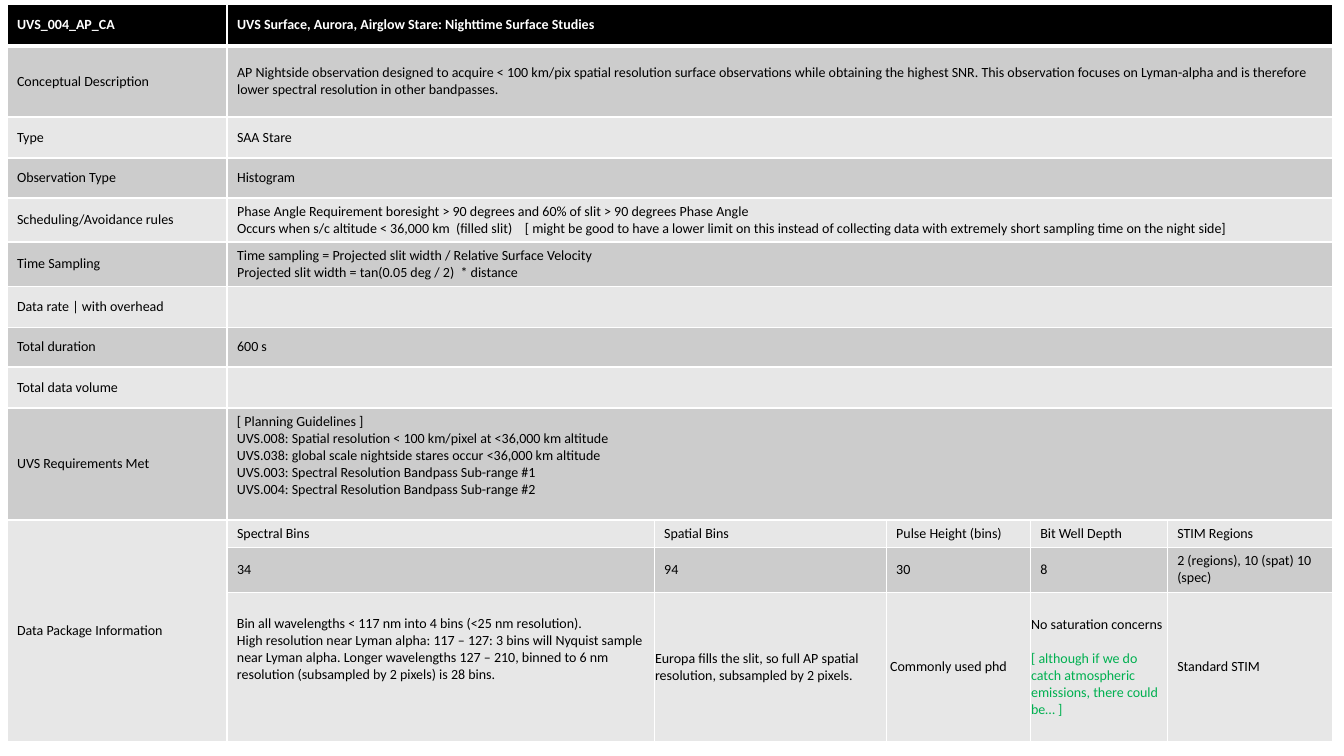
from lxml import etree
from pptx import Presentation, util as u
from pptx.dml import color
from pptx.enum import text
from pptx.oxml import ns

EMU_PER_PIXEL = 914400 / 100.8
BLACK, WHITE, GREEN = "000000", "FFFFFF", "00B050"
BANDS = ["CCCCCC", "E7E7E7"]


def px(length):
    """Turn picture pixels into EMU."""
    return u.Emu(round(length * EMU_PER_PIXEL))


def rgb(hex_code):
    """Turn a hex string into a colour."""
    return color.RGBColor.from_string(hex_code)


class ObservationSheet:
    """Style and current slide of an observation sheet."""

    font, size = "Calibri", 10

    def __init__(self, slide):
        """Keep the slide to draw on."""
        self.slide = slide

    def grid(self, left, top, widths, heights):
        """Add an empty table with the given column widths and row heights."""
        frame = self.slide.shapes.add_table(
            len(heights), len(widths), px(left), px(top), px(sum(widths)), px(sum(heights)))
        for column, width in zip(frame.table.columns, widths):
            column.width = px(width)
        for row, height in zip(frame.table.rows, heights):
            row.height = px(height)
        return frame.table

    def borders(self, cell, bottom):
        """Draw white cell borders, with the given bottom weight in points."""
        properties = cell._tc.get_or_add_tcPr()
        for side, weight in {"L": 1, "R": 1, "T": 1, "B": bottom}.items():
            line = etree.SubElement(properties, ns.qn(f"a:ln{side}"), w=str(u.Pt(weight)))
            fill = etree.SubElement(line, ns.qn("a:solidFill"))
            etree.SubElement(fill, ns.qn("a:srgbClr"), val=WHITE)

    def surface(self, cell, fill, bottom=1):
        """Set borders, fill, anchor and the text size of an empty cell."""
        self.borders(cell, bottom)
        cell.fill.solid()
        cell.fill.fore_color.rgb = rgb(fill)
        cell.vertical_anchor = text.MSO_ANCHOR.MIDDLE
        for paragraph in cell.text_frame.paragraphs:
            paragraph._p.get_or_add_endParaRPr().set("sz", str(self.size * 100))

    def fill_in(self, cell, lines, ink=BLACK, bold=False):
        """Put one paragraph per line into a cell."""
        for index, line in enumerate(lines):
            frame = cell.text_frame
            paragraph = frame.add_paragraph() if index else frame.paragraphs[0]
            run = paragraph.add_run()
            run.text = line
            run.font.name, run.font.size = self.font, u.Pt(self.size)
            run.font.bold, run.font.color.rgb = bold, rgb(ink)

    def margins(self, cell, left, top, right, bottom):
        """Set the four inner margins of a cell."""
        cell.margin_left, cell.margin_top = px(left), px(top)
        cell.margin_right, cell.margin_bottom = px(right), px(bottom)


HEADER = ("UVS_004_AP_CA", ["UVS Surface, Aurora, Airglow Stare: Nighttime Surface Studies"])
FIELDS = [
    ("Conceptual Description", [
        "AP Nightside observation designed to acquire < 100 km/pix spatial resolution surface "
        "observations while obtaining the highest SNR. This observation focuses on Lyman-alpha "
        "and is therefore lower spectral resolution in other bandpasses."]),
    ("Type", ["SAA Stare"]),
    ("Observation Type", ["Histogram"]),
    ("Scheduling/Avoidance rules", [
        "Phase Angle Requirement boresight > 90 degrees and 60% of slit > 90 degrees Phase Angle",
        "Occurs when s/c altitude < 36,000 km  (filled slit)    [ might be good to have a lower "
        "limit on this instead of collecting data with extremely short sampling time on the "
        "night side]"]),
    ("Time Sampling", [
        "Time sampling = Projected slit width / Relative Surface Velocity",
        "Projected slit width = tan(0.05 deg / 2)  * distance"]),
    ("Data rate | with overhead", []),
    ("Total duration", ["600 s"]),
    ("Total data volume", []),
    ("UVS Requirements Met", [
        "[ Planning Guidelines ]",
        "UVS.008: Spatial resolution < 100 km/pixel at <36,000 km altitude",
        "UVS.038: global scale nightside stares occur <36,000 km altitude",
        "UVS.003: Spectral Resolution Bandpass Sub-range #1",
        "UVS.004: Spectral Resolution Bandpass Sub-range #2"]),
]
PACKAGE = [
    ("Spectral Bins", "34", [
        "Bin all wavelengths < 117 nm into 4 bins (<25 nm resolution).",
        "High resolution near Lyman alpha: 117 – 127: 3 bins will Nyquist sample near Lyman "
        "alpha. Longer wavelengths 127 – 210, binned to 6 nm resolution (subsampled by 2 "
        "pixels) is 28 bins."]),
    ("Spatial Bins", "94", [
        "Europa fills the slit, so full AP spatial resolution, subsampled by 2 pixels."]),
    ("Pulse Height (bins)", "30", ["Commonly used phd"]),
    ("Bit Well Depth", "8", [
        "No saturation concerns",
        "[ although if we do catch atmospheric emissions, there could be… ]"]),
    ("STIM Regions", "2 (regions), 10 (spat) 10 (spec)", ["Standard STIM"]),
]
COLUMN_WIDTHS = [220, 427, 232, 144, 137, 165]
ROW_HEIGHTS = [42, 71, 41, 40, 44, 44, 41, 40, 41, 112, 27, 45, 149]

deck = Presentation()
deck.slide_width, deck.slide_height = u.Inches(13.33), u.Inches(7.5)
sheet = ObservationSheet(deck.slides.add_slide(deck.slide_layouts[6]))
table = sheet.grid(7, 4, COLUMN_WIDTHS, ROW_HEIGHTS)
last_column = len(COLUMN_WIDTHS) - 1
package_top = len(FIELDS) + 1
last_row = len(ROW_HEIGHTS) - 1

for row_index in range(len(ROW_HEIGHTS)):
    is_header = row_index == 0
    band = BLACK if is_header else BANDS[(row_index - 1) % 2]
    for column_index in range(len(COLUMN_WIDTHS)):
        in_package_label = column_index == 0 and row_index >= package_top
        sheet.surface(table.cell(row_index, column_index),
                      BANDS[1] if in_package_label else band, 3 if is_header else 1)

for row_index, (label, lines) in enumerate([HEADER] + FIELDS):
    style = {"ink": WHITE, "bold": True} if row_index == 0 else {}
    value_cell = table.cell(row_index, 1)
    value_cell.merge(table.cell(row_index, last_column))
    sheet.fill_in(table.cell(row_index, 0), [label], **style)
    sheet.fill_in(value_cell, lines, **style)
requirements = table.cell(len(FIELDS), 1)
sheet.margins(requirements, 10, 5, 10, 22)

package_label = table.cell(package_top, 0)
package_label.merge(table.cell(last_row, 0))
sheet.fill_in(package_label, ["Data Package Information"])
for column_index, (heading, amount, remarks) in enumerate(PACKAGE, 1):
    for row_index, lines in enumerate([[heading], [amount], remarks], package_top):
        sheet.fill_in(table.cell(row_index, column_index), lines)

spectral, spatial, pulse, well = [table.cell(last_row, column) for column in range(1, 5)]
sheet.margins(spectral, 10, 5, 10, 39)
for remark_cell, left in [(spatial, 1), (pulse, 4), (well, 1)]:
    sheet.margins(remark_cell, left, 1, 1, 0)
saturation_note = well.text_frame.paragraphs[1]
saturation_note.space_before = u.Pt(12)
saturation_note.runs[0].font.color.rgb = rgb(GREEN)

deck.save("out.pptx")
